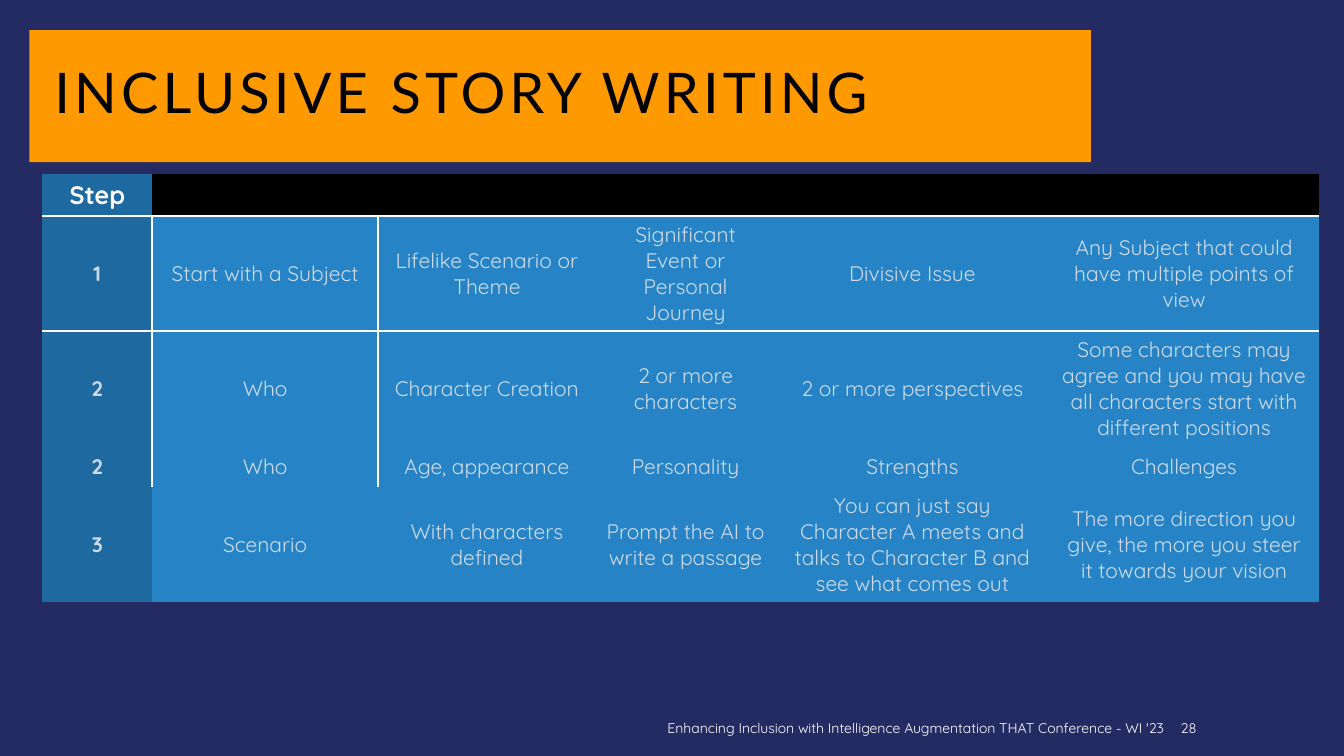
from lxml.etree import SubElement
from pptx import Presentation
from pptx.dml.color import RGBColor
from pptx.enum.text import MSO_ANCHOR, MSO_AUTO_SIZE, PP_ALIGN
from pptx.oxml.ns import qn
from pptx.util import Inches, Pt

COLORS = {
    "background": "242A62",
    "banner": "FF9900",
    "black": "000000",
    "white": "FFFFFF",
    "step": "1E699F",
    "cell": "2683C6",
    "cell_text": "CEDBE6",
}
NO_GRID_STYLE = "{2D5ABB26-0587-4C30-8999-92F81FD0307C}"
COLUMN_WIDTHS = [1.09, 2.24, 2.16, 1.78, 2.72, 2.67]
ROW_HEIGHTS = [0.41, 1.14, 1.14, 0.41, 1.14]
STEPS = [
    ["Step", "", "", "", "", ""],
    ["1", "Start with a Subject", "Lifelike Scenario or Theme",
     "Significant Event or Personal Journey", "Divisive Issue",
     "Any Subject that could have multiple points of view"],
    ["2", "Who", "Character Creation", "2 or more characters",
     "2 or more perspectives",
     "Some characters may agree and you may have all characters start "
     "with different positions"],
    ["2", "Who", "Age, appearance", "Personality", "Strengths", "Challenges"],
    ["3", "Scenario", "With characters defined",
     "Prompt the AI to write a passage",
     "You can just say Character A meets and talks to Character B and see "
     "what comes out",
     "The more direction you give, the more you steer it towards your vision"],
]


def paint(fill, color):
    fill.solid()
    fill.fore_color.rgb = RGBColor.from_string(COLORS[color])


def write(text_frame, text, size, color, font="Quicksand", bold=False,
          align=PP_ALIGN.LEFT, spacing=None, line_spacing=None):
    """Put one formatted paragraph into a text frame."""
    paragraph = text_frame.paragraphs[0]
    paragraph.alignment = align
    if line_spacing:
        paragraph.line_spacing = line_spacing
    run = paragraph.add_run()
    run.text = text
    run.font.name = font
    run.font.size = Pt(size)
    run.font.bold = bold
    run.font.color.rgb = RGBColor.from_string(COLORS[color])
    if spacing:
        run.font._element.set("spc", str(spacing * 100))


def set_margins(text_frame, left):
    text_frame.margin_left = Inches(left)
    text_frame.margin_right = Inches(0.1)
    text_frame.margin_top = text_frame.margin_bottom = Inches(0.05)


def add_title(slide, text):
    title = slide.shapes.title
    title.left, title.top = Inches(0.29), Inches(0.3)
    title.width, title.height = Inches(10.53), Inches(1.31)
    paint(title.fill, "banner")
    text_frame = title.text_frame
    text_frame.auto_size = MSO_AUTO_SIZE.NONE
    text_frame.vertical_anchor = MSO_ANCHOR.MIDDLE
    set_margins(text_frame, 0.25)
    write(text_frame, text, 40, "black", font="Lato", spacing=3,
          line_spacing=0.85)


def add_footer(slide, text, left, width, align, margin_left):
    box = slide.shapes.add_textbox(
        Inches(left), Inches(7.02), Inches(width), Inches(0.4))
    text_frame = box.text_frame
    text_frame.word_wrap = True
    text_frame.vertical_anchor = MSO_ANCHOR.MIDDLE
    set_margins(text_frame, margin_left)
    write(text_frame, text, 10, "white", align=align)


def add_border(cell, side):
    """Draw a white 2 pt line on one side: lnL, lnR, lnT or lnB."""
    properties = cell._tc.get_or_add_tcPr()
    line = SubElement(properties, qn(f"a:{side}"), w=str(Pt(2)))
    fill = SubElement(line, qn("a:solidFill"))
    SubElement(fill, qn("a:srgbClr"), val=COLORS["white"])


def format_cell(cell, text, row, column):
    # Borders come before the fill in the cell properties
    if column == 1 and 1 <= row <= 3:
        add_border(cell, "lnL")
    if column == 0 and 1 <= row <= 3:
        add_border(cell, "lnR")
    if row == 1:
        add_border(cell, "lnT")
    if row == 0:
        add_border(cell, "lnB")
    if column == 0:
        paint(cell.fill, "step")
    else:
        paint(cell.fill, "black" if row == 0 else "cell")
    cell.vertical_anchor = MSO_ANCHOR.MIDDLE
    if text:
        write(cell.text_frame, text, 18 if row == 0 else 15,
              "white" if row == 0 else "cell_text",
              bold=column == 0, align=PP_ALIGN.CENTER)


def add_step_table(slide):
    frame = slide.shapes.add_table(
        len(STEPS), len(COLUMN_WIDTHS), Inches(0.42), Inches(1.73),
        Inches(sum(COLUMN_WIDTHS)), Inches(sum(ROW_HEIGHTS)))
    table = frame.table
    table.horz_banding = False
    table._tbl.tblPr.find(qn("a:tableStyleId")).text = NO_GRID_STYLE
    for column, width in zip(table.columns, COLUMN_WIDTHS):
        column.width = Inches(width)
    for row, height in zip(table.rows, ROW_HEIGHTS):
        row.height = Inches(height)
    for row_index, texts in enumerate(STEPS):
        for column_index, text in enumerate(texts):
            format_cell(table.cell(row_index, column_index), text,
                        row_index, column_index)


def main():
    presentation = Presentation()
    presentation.slide_width = Inches(13.33)
    presentation.slide_height = Inches(7.5)
    slide = presentation.slides.add_slide(presentation.slide_layouts[0])
    paint(slide.background.fill, "background")

    # The subtitle placeholder stays unused
    subtitle = slide.placeholders[1].element
    subtitle.getparent().remove(subtitle)

    # Title and table
    add_title(slide, "INCLUSIVE STORY WRITING")
    add_step_table(slide)

    # Footer and slide number
    add_footer(slide, "Enhancing Inclusion with Intelligence Augmentation "
               "THAT Conference - WI '23", 6.12, 5.52, PP_ALIGN.RIGHT, 0.1)
    add_footer(slide, "28", 11.66, 1.03, PP_ALIGN.LEFT, 0.05)

    presentation.save("out.pptx")


if __name__ == "__main__":
    main()
